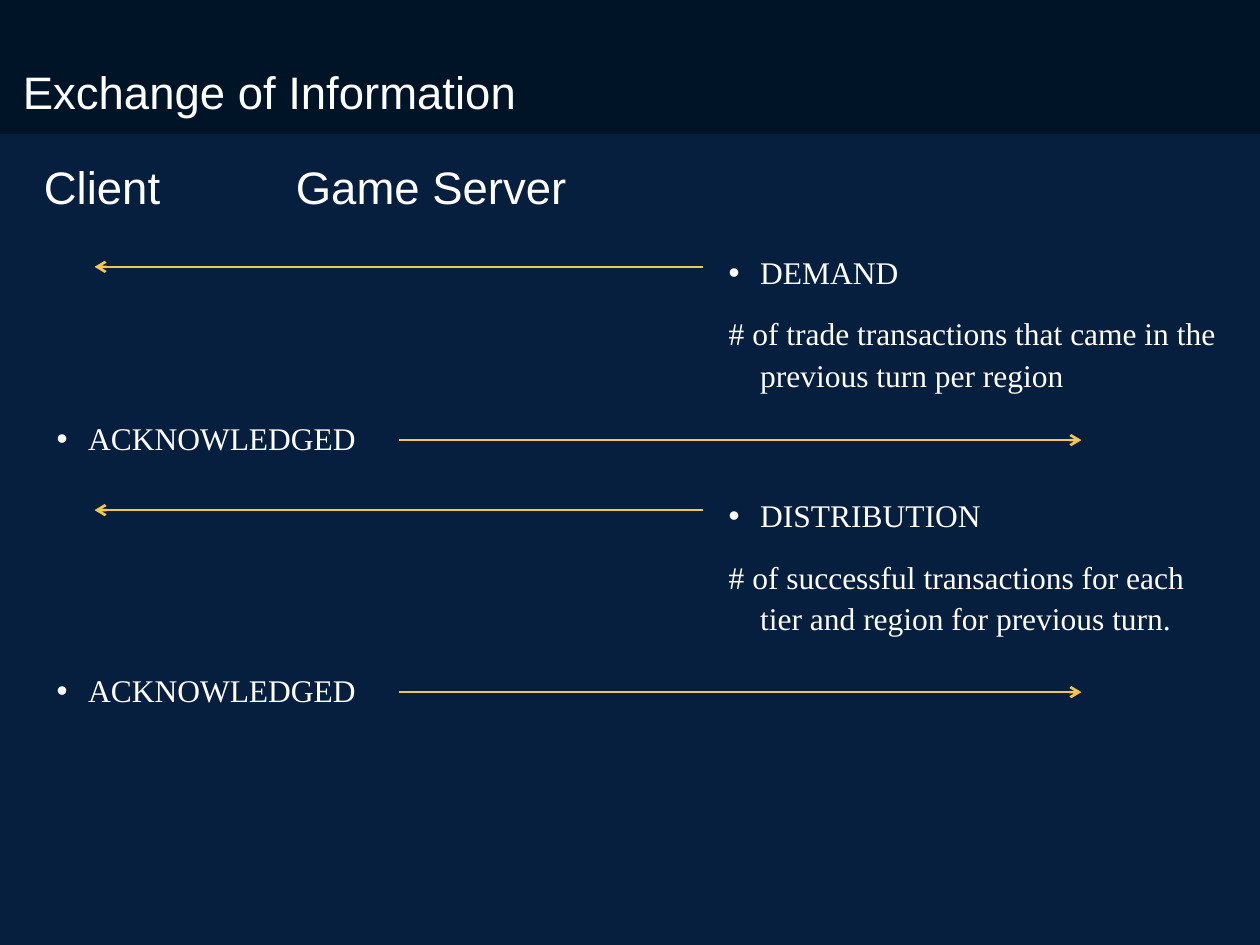
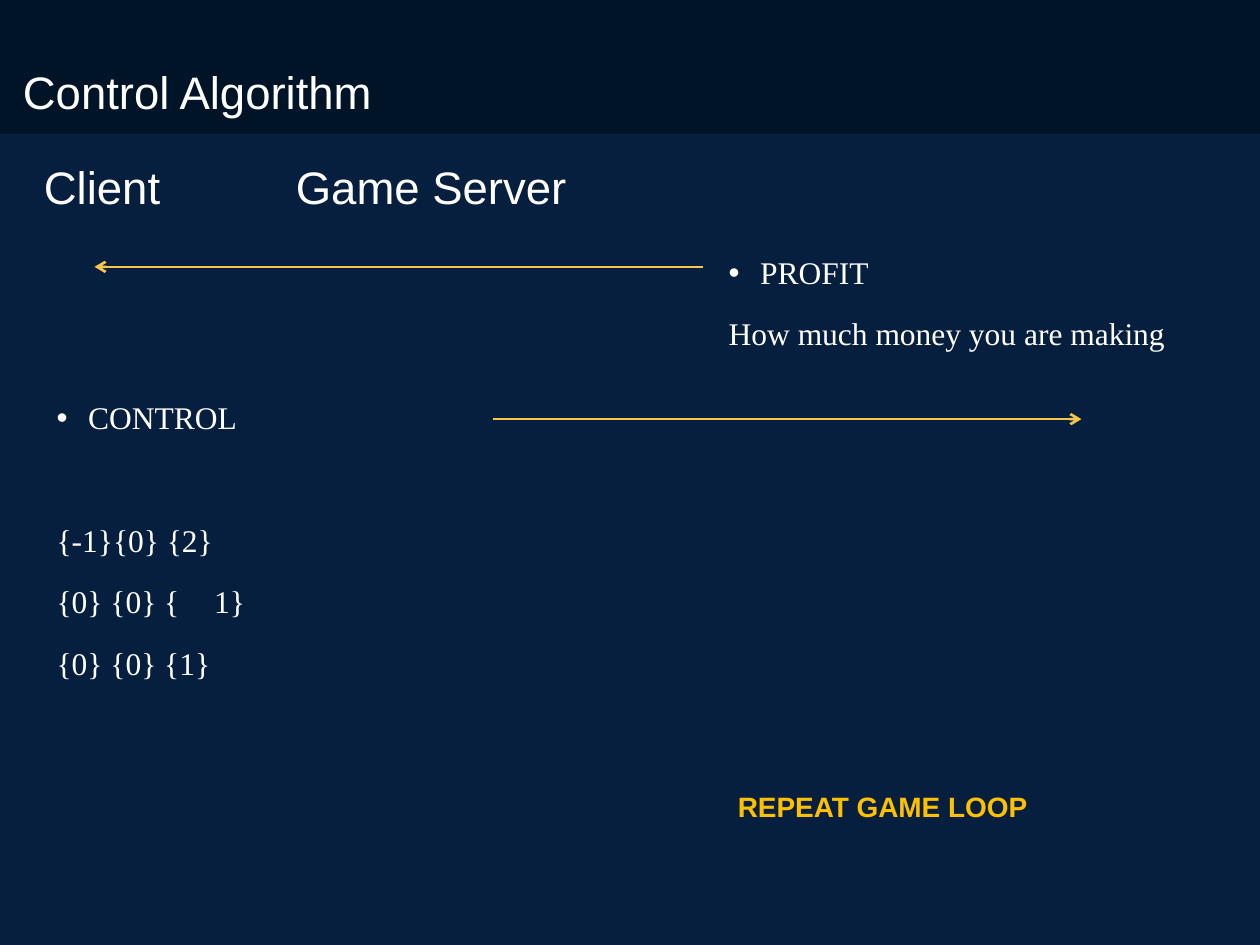
from lxml.etree import SubElement
from pptx import Presentation
from pptx.dml.color import RGBColor
from pptx.enum.shapes import MSO_CONNECTOR as Connector, MSO_SHAPE as Shape
from pptx.enum.text import MSO_ANCHOR as Anchor
from pptx.oxml.ns import qn
from pptx.util import Pt

NAVY, BAND, WHITE = "061F3F", "001428", "FFFFFF"
ARROW, GOLD = "F6C54C", "FFC000"
SANS, SERIF = "Arial", "Times New Roman"
WIDTH, HEIGHT = 720, 540
CLIENT_LEFT, SERVER_LEFT = 18, 402    # columns of the two parties
ARROW_LEFT, ARROW_RIGHT = 54, 618     # where the arrowheads point
INDENT = 18
LINE_GAP = 11.2
EMPTY_LINE = 35.2                     # one line and its gap


def color(value):
    return RGBColor.from_string(value)


def add_text_box(slide, box, inset=7.2, anchor=Anchor.TOP, wrap=True):
    shape = slide.shapes.add_textbox(*(Pt(length) for length in box))
    frame = shape.text_frame
    frame.word_wrap = wrap
    frame.vertical_anchor = anchor
    frame.margin_left = Pt(inset)
    return frame


def format_paragraph(paragraph, font_name, size, fill=WHITE, bold=False, spacing=0.9):
    paragraph.line_spacing = spacing
    for run in paragraph.runs:
        run.font.name = font_name
        run.font.size = Pt(size)
        run.font.bold = bold
        run.font.color.rgb = color(fill)


def add_bullet(properties):
    bullet_color = SubElement(properties, qn("a:buClr"))
    SubElement(bullet_color, qn("a:srgbClr"), val=WHITE)
    SubElement(properties, qn("a:buFont"), typeface=SANS)
    SubElement(properties, qn("a:buChar"), char="•")


def add_tab(properties, position):
    tabs = SubElement(properties, qn("a:tabLst"))
    SubElement(tabs, qn("a:tab"), pos=str(Pt(position)), algn="l")


def add_label(slide, box, text, size=26, fill=WHITE, bold=False, tab=None, **layout):
    frame = add_text_box(slide, box, **layout)
    frame.text = text
    paragraph = frame.paragraphs[0]
    if tab:
        add_tab(paragraph._p.get_or_add_pPr(), tab)
    format_paragraph(paragraph, SANS, size, fill, bold)


def add_message(slide, box, name, details, gap_above_details=LINE_GAP):
    """A bulleted message name with its details below."""
    frame = add_text_box(slide, box, inset=14.4)
    frame.text = "\n".join([name, *details])
    for index, paragraph in enumerate(frame.paragraphs):
        properties = paragraph._p.get_or_add_pPr()
        properties.set("marL", str(Pt(INDENT)))
        properties.set("indent", str(-Pt(INDENT)))
        if index == 0:
            add_bullet(properties)
        else:
            SubElement(properties, qn("a:buNone"))
            paragraph.space_before = Pt(gap_above_details if index == 1 else LINE_GAP)
        add_tab(properties, 72)
        format_paragraph(paragraph, SERIF, 18, spacing=1.1)


def add_arrow(slide, start, end, y):
    arrow = slide.shapes.add_connector(Connector.STRAIGHT, Pt(start), Pt(y), Pt(end), Pt(y))
    arrow.line.color.rgb = color(ARROW)
    arrow.line.width = Pt(1.5)
    SubElement(arrow.line._get_or_add_ln(), qn("a:tailEnd"), type="arrow")
    SubElement(arrow._element.spPr, qn("a:effectLst"))


def server_message(slide, top, name, detail, height=90):
    add_message(slide, (SERVER_LEFT, top, 300, height), name, [detail])
    add_arrow(slide, SERVER_LEFT, ARROW_LEFT, top + 13.5)


def client_message(slide, top, name, arrow_start, details=(), height=31, **gaps):
    add_message(slide, (CLIENT_LEFT, top, 255, height), name, details, **gaps)
    add_arrow(slide, arrow_start, ARROW_RIGHT, top + 17.5)


def add_base_slide(presentation, title):
    """Background, top band, title and the headings of the two parties."""
    slide = presentation.slides.add_slide(presentation.slide_layouts[6])
    slide.background.fill.solid()
    slide.background.fill.fore_color.rgb = color(NAVY)
    band = slide.shapes.add_shape(Shape.RECTANGLE, 0, 0, Pt(WIDTH), Pt(76.5))
    band.shadow.inherit = False
    band.fill.solid()
    band.fill.fore_color.rgb = color(BAND)
    band.line.fill.background()
    add_label(slide, (6, 36.5, WIDTH - 6, 35.5), title)
    add_label(slide, (CLIENT_LEFT, 90.5, 666, 35.5), "Client\tGame Server",
              tab=144, anchor=Anchor.BOTTOM)
    return slide


def exchange_slide(presentation):
    slide = add_base_slide(presentation, "Exchange of Information")
    server_message(slide, 139, "DEMAND",
                   "# of trade transactions that came in the previous turn per region")
    server_message(slide, 278, "DISTRIBUTION",
                   "# of successful transactions for each tier and region for previous turn.")
    for top in (234, 378):
        client_message(slide, top, "ACKNOWLEDGED", 228)


def control_slide(presentation):
    slide = add_base_slide(presentation, "Control Algorithm")
    server_message(slide, 139, "PROFIT", "How much money you are making", height=136)
    # Control matrix, set apart from its heading
    client_message(slide, 222, "CONTROL", 282,
                   ["{-1}{0} {2}", "{0} {0} {\t1}", "{0} {0} {1}"],
                   height=171, gap_above_details=LINE_GAP + EMPTY_LINE)
    add_label(slide, (414.5, 450, 181, 24.5), "REPEAT GAME LOOP",
              size=16, fill=GOLD, bold=True, wrap=False)


def main():
    presentation = Presentation()
    presentation.slide_width, presentation.slide_height = Pt(WIDTH), Pt(HEIGHT)
    exchange_slide(presentation)
    control_slide(presentation)
    presentation.save("out.pptx")


if __name__ == "__main__":
    main()
